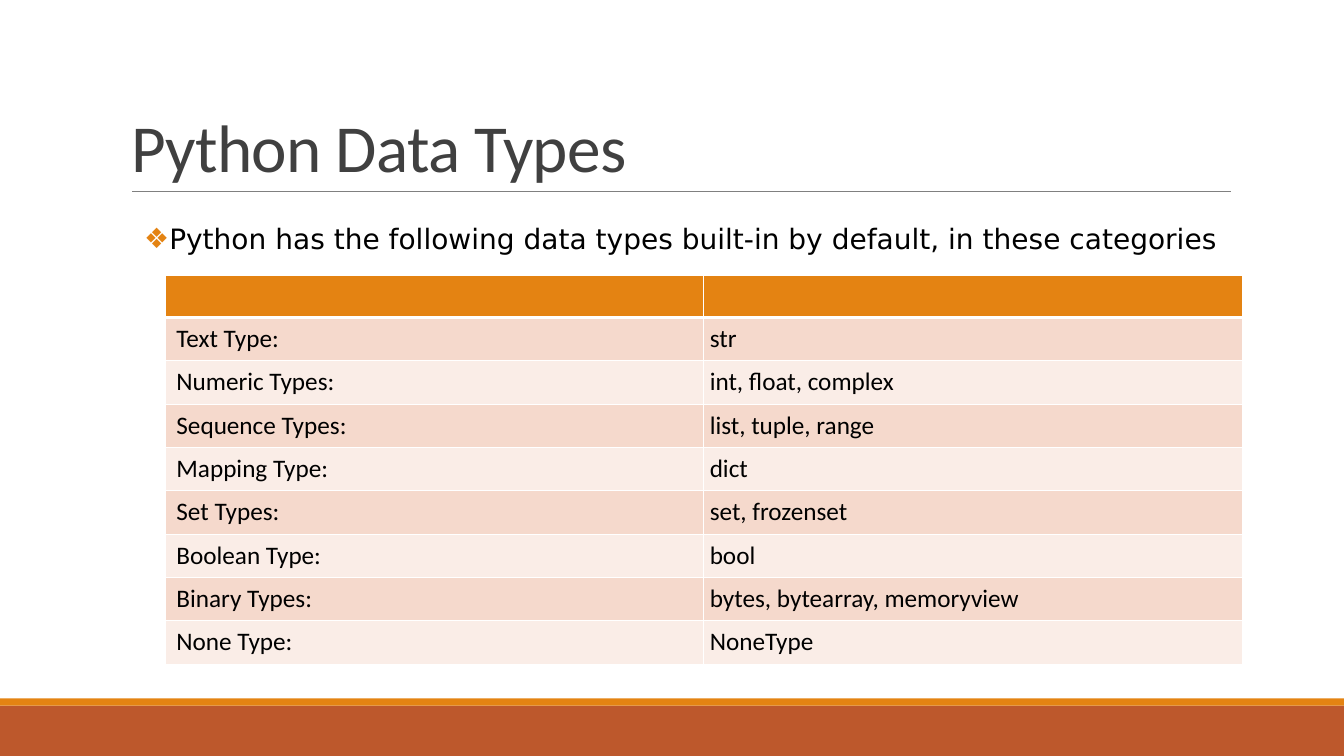
from dataclasses import dataclass

from lxml.etree import SubElement
from pptx import Presentation
from pptx.dml.color import RGBColor
from pptx.enum.shapes import MSO_CONNECTOR, MSO_SHAPE
from pptx.enum.text import MSO_ANCHOR
from pptx.oxml.ns import qn
from pptx.util import Inches, Pt


@dataclass(frozen=True)
class Theme:
    heading_font: str = "Calibri"
    intro_font: str = "DejaVu Sans"
    title_size: int = 48
    intro_size: int = 20
    cell_size: int = 18
    title_color: str = "404040"
    text_color: str = "000000"
    rule_color: str = "808080"
    accent: str = "E48312"
    footer: str = "BD582C"
    grid: str = "FFFFFF"
    bands: tuple = ("F5D9CC", "FAEDE7")


THEME = Theme()

DATA_TYPES = [
    ("Text Type:", "str"),
    ("Numeric Types:", "int, float, complex"),
    ("Sequence Types:", "list, tuple, range"),
    ("Mapping Type:", "dict"),
    ("Set Types:", "set, frozenset"),
    ("Boolean Type:", "bool"),
    ("Binary Types:", "bytes, bytearray, memoryview"),
    ("None Type:", "NoneType"),
]


def apply(target, settings):
    for attribute, value in settings.items():
        setattr(target, attribute, value)


def style_font(font, name, size, color):
    apply(font, {"name": name, "size": Pt(size)})
    font.color.rgb = RGBColor.from_string(color)


def paint(fill, color):
    fill.solid()
    fill.fore_color.rgb = RGBColor.from_string(color)


def add_band(slide, top, height, color):
    """Draw a full-width strip at the foot of the slide."""
    band = slide.shapes.add_shape(
        MSO_SHAPE.RECTANGLE, 0, Inches(top), Inches(13.33), Inches(height))
    band.shadow.inherit = False
    band.line.fill.background()
    paint(band.fill, color)


def add_rule(slide, left, right, y):
    rule = slide.shapes.add_connector(
        MSO_CONNECTOR.STRAIGHT, Inches(left), Inches(y), Inches(right), Inches(y))
    rule.line.width = Pt(0.5)
    rule.line.color.rgb = RGBColor.from_string(THEME.rule_color)
    SubElement(rule._element.spPr, qn("a:effectLst"))


def set_title(slide, text):
    title = slide.shapes.title
    apply(title, {"left": Inches(1.2), "top": Inches(0.31),
                  "width": Inches(11), "height": Inches(1.59)})
    frame = title.text_frame
    apply(frame, {"text": text, "word_wrap": True,
                  "vertical_anchor": MSO_ANCHOR.BOTTOM})
    heading = frame.paragraphs[0]
    heading.line_spacing = 0.85
    heading._p.get_or_add_pPr().set("algn", "l")
    run = heading.runs[0]
    style_font(run.font, THEME.heading_font, THEME.title_size, THEME.title_color)
    run.font._element.set("spc", "-50")


def add_bullet(paragraph, symbol, indent):
    properties = paragraph._p.get_or_add_pPr()
    properties.set("marL", str(indent))
    properties.set("indent", str(-indent))
    color = SubElement(properties, qn("a:buClr"))
    SubElement(color, qn("a:srgbClr"), val=THEME.accent)
    SubElement(properties, qn("a:buFont"), typeface=THEME.intro_font)
    SubElement(properties, qn("a:buChar"), char=symbol)


def add_intro(slide, text):
    intro = slide.shapes.add_textbox(
        Inches(1.43), Inches(2.19), Inches(11), Inches(0.5))
    frame = intro.text_frame
    apply(frame, {"text": text, "word_wrap": True,
                  "margin_left": 0, "margin_right": 0})
    sentence = frame.paragraphs[0]
    apply(sentence, {"line_spacing": 0.9, "space_before": Pt(12),
                     "space_after": Pt(2)})
    add_bullet(sentence, "❖", Inches(0.1))
    style_font(sentence.runs[0].font, THEME.intro_font, THEME.intro_size,
               THEME.text_color)


def add_borders(cell, bottom_width):
    widths = {"L": 1, "R": 1, "T": 1, "B": bottom_width}
    for side, width in widths.items():
        border = SubElement(cell._tc.get_or_add_tcPr(), qn(f"a:ln{side}"),
                            w=str(Pt(width)))
        color = SubElement(border, qn("a:solidFill"))
        SubElement(color, qn("a:srgbClr"), val=THEME.grid)


def fill_cell(cell, text, left_margin):
    margin = Inches(0.06)
    apply(cell, {"text": text, "margin_left": Inches(left_margin),
                 "margin_right": margin, "margin_top": margin,
                 "margin_bottom": margin})
    style_font(cell.text_frame.paragraphs[0].runs[0].font,
               THEME.heading_font, THEME.cell_size, THEME.text_color)


def add_type_table(slide, data_types):
    table = slide.shapes.add_table(
        len(data_types) + 1, 2, Inches(1.64), Inches(2.73),
        Inches(10.68), Inches(3.86)).table
    for column in table.columns:
        column.width = Inches(5.34)
    for index, row in enumerate(table.rows):
        is_header = index == 0
        row.height = Inches(0.42 if is_header else 0.43)
        for cell in row.cells:
            add_borders(cell, 3 if is_header else 1)
            paint(cell.fill, THEME.accent if is_header
                  else THEME.bands[(index - 1) % 2])
    for index, (category, names) in enumerate(data_types, start=1):
        fill_cell(table.cell(index, 0), category, 0.11)
        fill_cell(table.cell(index, 1), names, 0.06)


def main():
    presentation = Presentation()
    apply(presentation, {"slide_width": Inches(13.33),
                         "slide_height": Inches(7.5)})
    slide = presentation.slides.add_slide(presentation.slide_layouts[5])
    add_band(slide, 7, 0.5, THEME.footer)
    add_band(slide, 6.93, 0.07, THEME.accent)
    add_rule(slide, 1.31, 12.21, 1.9)
    set_title(slide, "Python Data Types")
    add_intro(slide, "Python has the following data types built-in by default, "
                     "in these categories")
    add_type_table(slide, DATA_TYPES)
    presentation.save("out.pptx")


if __name__ == "__main__":
    main()
